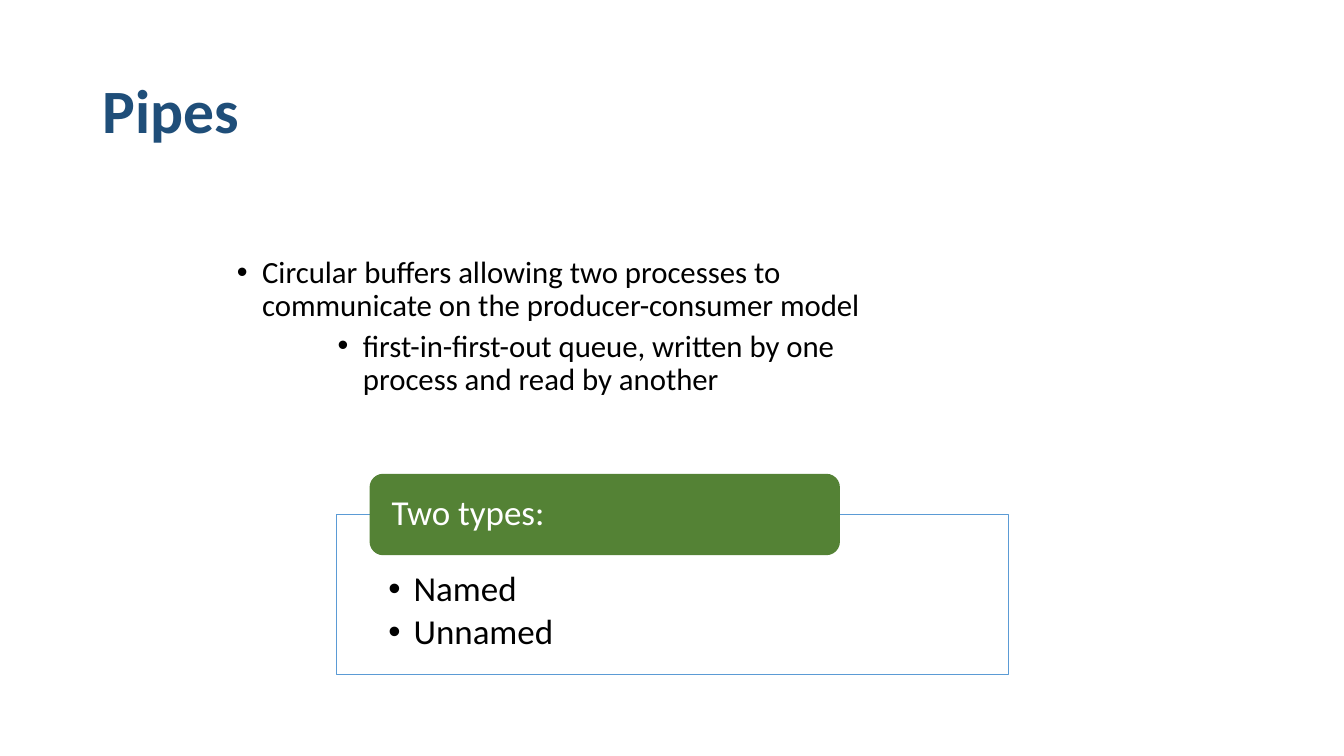
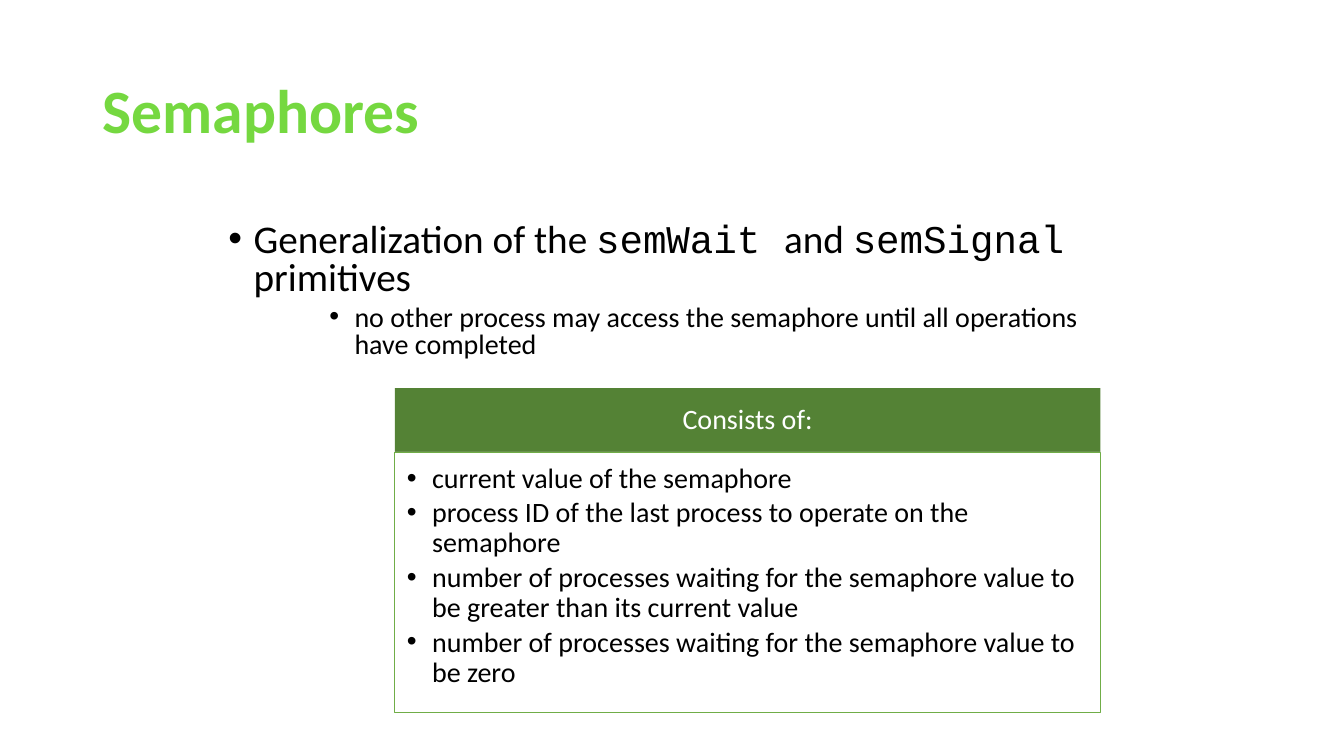
import pptx
import pptx.util
import pptx.dml.color
import pptx.enum.shapes
import pptx.enum.text
import lxml.etree

RGBColor = pptx.dml.color.RGBColor
Pt = pptx.util.Pt
Inches = pptx.util.Inches
Align = pptx.enum.text.PP_ALIGN
Anchor = pptx.enum.text.MSO_ANCHOR
Shape = pptx.enum.shapes.MSO_SHAPE

NAVY = RGBColor(0x1F, 0x4E, 0x79)
LIME = RGBColor(0x75, 0xD8, 0x40)
MOSS = RGBColor(0x54, 0x82, 0x35)
LEAF = RGBColor(0x70, 0xAD, 0x47)
SKY = RGBColor(0x5B, 0x9B, 0xD5)
BLACK = RGBColor(0, 0, 0)
WHITE = RGBColor(255, 255, 255)
FONT = "Calibri"
CODE = "Courier New"
COLS, ROWS = 160, 90


class Deck:
    """Hold the shared style and the current slide, on a grid of 160 by 90."""

    def __init__(self):
        self.show = pptx.Presentation()
        self.show.slide_width = Inches(13.33)
        self.show.slide_height = Inches(7.5)
        self.slide = None

    def place(self, col, row, wide, high):
        across = self.show.slide_width / COLS
        down = self.show.slide_height / ROWS
        return [round(v) for v in (col * across, row * down, wide * across, high * down)]

    def move(self, shape, spot):
        shape.left, shape.top, shape.width, shape.height = self.place(*spot)

    def frame(self, shape, anchor, inset=(0.1, 0.05, 0.1, 0.05)):
        frame = shape.text_frame
        frame.word_wrap = True
        frame.auto_size = pptx.enum.text.MSO_AUTO_SIZE.NONE
        frame.vertical_anchor = anchor
        (frame.margin_left, frame.margin_top,
         frame.margin_right, frame.margin_bottom) = map(Inches, inset)
        return frame

    def style(self, para, size, color, bold=False, lead=0.9, before=0, after=0, align=Align.LEFT):
        para.alignment = align
        para.line_spacing = lead
        para.space_before, para.space_after = Pt(before), Pt(after)
        for run in para.runs:
            font = run.font
            font.name = font.name or FONT
            font.size, font.bold = Pt(size), bold
            font.color.rgb = color

    def bullet(self, para, left=0.25):
        props = para._p.get_or_add_pPr()
        props.set("marL", str(Inches(left)))
        props.set("indent", str(-Inches(0.25)))
        space = props.nsmap["a"]
        for tag, key, value in (("buFont", "typeface", "Arial"), ("buChar", "char", "•")):
            lxml.etree.SubElement(props, f"{{{space}}}{tag}").set(key, value)

    def start(self, text, color):
        self.slide = self.show.slides.add_slide(self.show.slide_layouts[1])
        title = self.slide.shapes.title
        self.move(title, (11, 4.8, 138, 17.4))
        frame = self.frame(title, Anchor.MIDDLE)
        frame.text = text
        self.style(frame.paragraphs[0], 44, color, bold=True)

    def body(self, spot, lead, items):
        shape = self.slide.placeholders[1]
        self.move(shape, spot)
        frame = self.frame(shape, Anchor.TOP)
        for i, (parts, size) in enumerate(items):
            para = frame.add_paragraph() if i else frame.paragraphs[0]
            para.level = 2 * i
            for text, face in parts:
                run = para.add_run()
                run.text = text
                run.font.name = face
            self.style(para, size, BLACK, lead=lead, before=5 if i else 10)
            self.bullet(para, 0.25 + i)

    def panel(self, kind, spot, fill, line, inset, anchor):
        shape = self.slide.shapes.add_shape(kind, *self.place(*spot))
        shape.shadow.inherit = False
        shape.fill.solid()
        shape.fill.fore_color.rgb = fill
        if line is None:
            shape.line.fill.background()
        else:
            shape.line.color.rgb = line
            shape.line.width = Pt(0.5)
        return self.frame(shape, anchor, inset)

    def list(self, spot, line, inset, size, items):
        frame = self.panel(Shape.RECTANGLE, spot, WHITE, line, inset, Anchor.TOP)
        frame.text = "\n".join(items)
        for para in frame.paragraphs:
            self.style(para, size, BLACK, after=0.15 * size)
            self.bullet(para)

    def head(self, kind, spot, inset, size, text, align):
        frame = self.panel(kind, spot, MOSS, None, inset, Anchor.MIDDLE)
        frame.text = text
        self.style(frame.paragraphs[0], size, WHITE, align=align)


deck = Deck()

deck.start("Pipes", NAVY)
deck.body((27, 30, 81.4, 50.4), 0.9, [
    ([("Circular buffers allowing two processes to communicate on the "
       "producer-consumer model", FONT)], 22),
    ([("first-in-first-out queue, written by one process and read by another", FONT)], 22),
])
deck.list((40, 61.2, 80, 19.1), SKY, (0.52, 0.57, 0.52, 0.19), 25, ["Named", "Unnamed"])
deck.head(Shape.ROUNDED_RECTANGLE, (44, 56.4, 56, 9.7), (0.18, 0, 0.18, 0), 25,
          "Two types:", Align.LEFT)

deck.start("Semaphores", LIME)
deck.body((26, 26, 108, 19), 0.8, [
    ([("Generalization of the ", FONT), ("semWait ", CODE), ("and ", FONT),
      ("semSignal ", CODE), ("primitives", FONT)], 28),
    ([("no other process may access the semaphore until all operations "
       "have completed", FONT)], 20),
])
deck.head(Shape.RECTANGLE, (47, 46.2, 84, 7.6), (0.16, 0.09, 0.16, 0.09), 20,
          "Consists of:", Align.CENTER)
deck.list((47, 53.8, 84, 31), LEAF, (0.12, 0.12, 0.16, 0.17), 20, [
    "current value of the semaphore",
    "process ID of the last process to operate on the semaphore",
    "number of processes waiting for the semaphore value to be greater than its current value",
    "number of processes waiting for the semaphore value to be zero",
])

deck.show.save("out.pptx")
